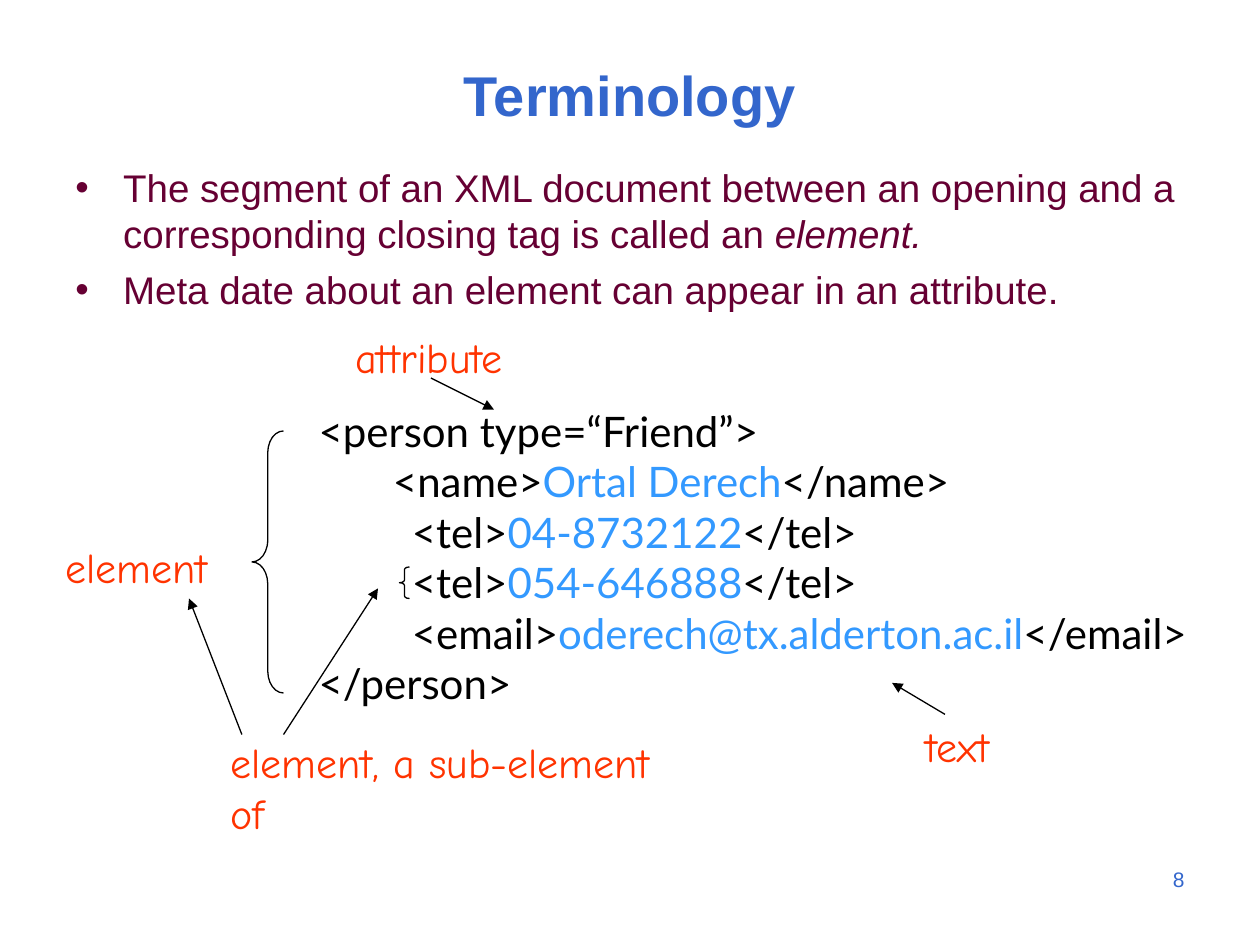
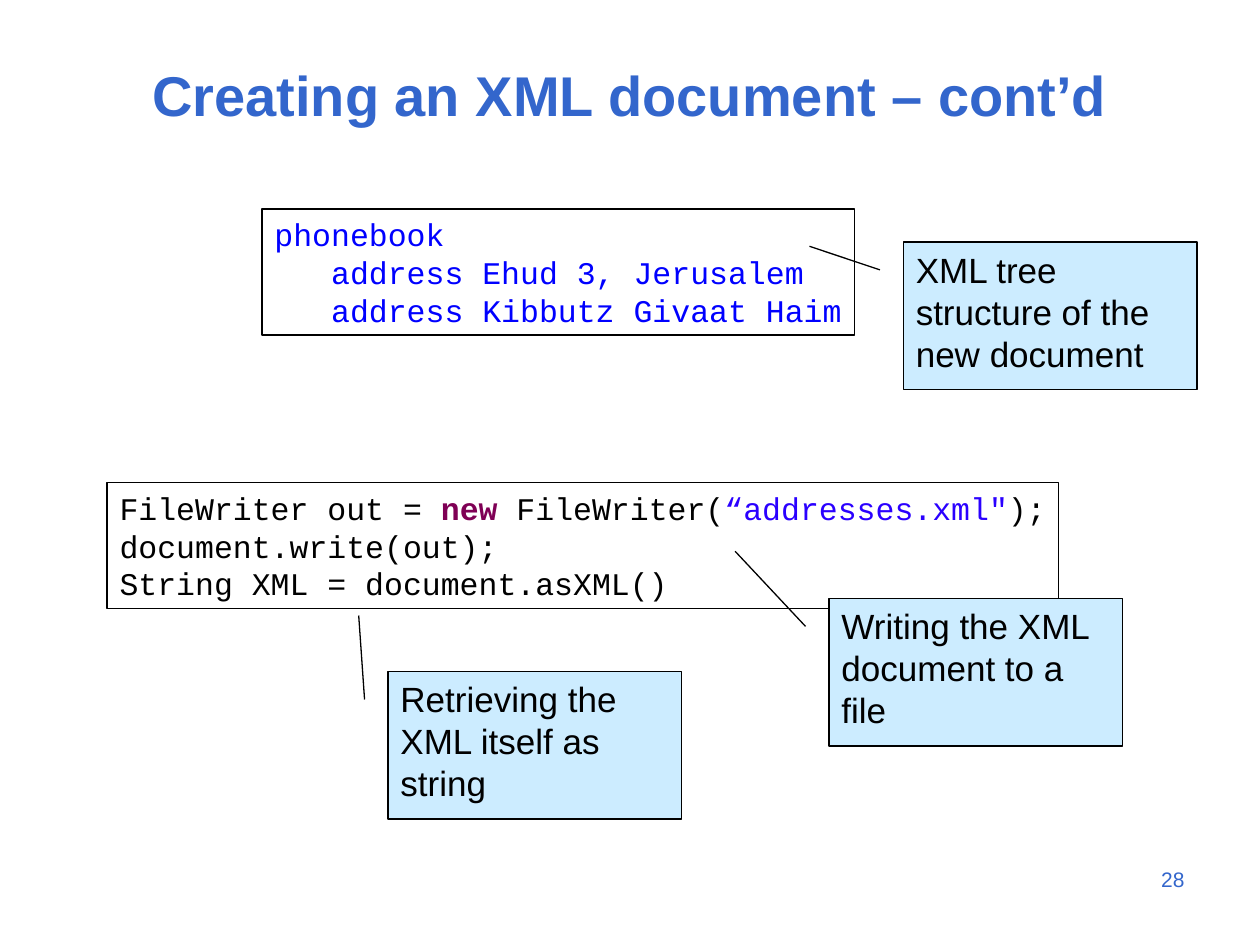
from lxml import etree
from pptx import Presentation
from pptx.dml.color import RGBColor
from pptx.enum.shapes import MSO_CONNECTOR, MSO_SHAPE
from pptx.enum.text import MSO_ANCHOR, PP_ALIGN
from pptx.oxml.ns import qn
from pptx.util import Inches, Pt

LEFT, CENTER, RIGHT = PP_ALIGN.LEFT, PP_ALIGN.CENTER, PP_ALIGN.RIGHT
TOP, MIDDLE = MSO_ANCHOR.TOP, MSO_ANCHOR.MIDDLE
RECTANGLE, BRACE = MSO_SHAPE.RECTANGLE, MSO_SHAPE.LEFT_BRACE
CALLOUT = MSO_SHAPE.LINE_CALLOUT_1
STRAIGHT = MSO_CONNECTOR.STRAIGHT

COLORS = {
    "heading": "3366CC",
    "body": "660033",
    "label": "FF3300",
    "value": "3399FF",
    "ink": "000000",
    "callout": "CCECFF",
    "tree": "0000FF",
    "keyword": "7F0055",
    "string": "2A00FF",
}
LINE_WIDTH = 0.75
LINE_HEIGHT = 1.2
CODE_FONT = "Courier New"
CODE_SIZE = 18


def rgb(name):
    """Return the palette colour called name."""
    return RGBColor.from_string(COLORS[name])


def write(shape, lines, size, font, color, align=LEFT, anchor=TOP, wrap=True, bold=False):
    """Fill a shape with lines, each an indent in inches and a list of (text, style) runs."""
    frame = shape.text_frame
    frame.word_wrap = wrap
    frame.vertical_anchor = anchor
    for index, (indent, runs) in enumerate(lines):
        paragraph = frame.paragraphs[0] if index == 0 else frame.add_paragraph()
        paragraph.alignment = align
        paragraph.line_spacing = Pt(size * LINE_HEIGHT)
        if indent:
            paragraph._p.get_or_add_pPr().set("marL", str(Inches(indent)))
        paragraph.font.size = Pt(size)
        paragraph.font.name = font
        paragraph.font.bold = bold
        paragraph.font.color.rgb = rgb(color)
        for text, style in runs:
            run = paragraph.add_run()
            run.text = text
            if style == "italic":
                run.font.italic = True
            elif style:
                run.font.color.rgb = rgb(style)
                if style == "keyword":
                    run.font.bold = True


def plain(*texts):
    """Return unindented lines of one unstyled run each."""
    return [(0, [(text, None)]) for text in texts]


def add_text(slide, box, lines, size, font, color, **options):
    """Add a text box at box, given as left, top, width and height in inches."""
    shape = slide.shapes.add_textbox(*map(Inches, box))
    write(shape, lines, size, font, color, **options)
    return shape


def add_outlined(slide, kind, box, fill=None):
    """Add a preset shape with a thin black line and an optional fill."""
    shape = slide.shapes.add_shape(kind, *map(Inches, box))
    shape.shadow.inherit = False
    shape.line.color.rgb = rgb("ink")
    shape.line.width = Pt(LINE_WIDTH)
    if fill:
        shape.fill.solid()
        shape.fill.fore_color.rgb = rgb(fill)
    else:
        shape.fill.background()
    return shape


def add_bullets(slide, box, lines):
    """Add the bulleted body text."""
    shape = add_text(slide, box, lines, 22, "Arial", "body")
    for paragraph in shape.text_frame.paragraphs:
        paragraph.space_before = Pt(5.5)
        properties = paragraph._p.get_or_add_pPr()
        properties.set("marL", str(Inches(0.38)))
        properties.set("indent", str(Inches(-0.38)))
        bullet_color = etree.Element(qn("a:buClr"))
        etree.SubElement(bullet_color, qn("a:srgbClr"), val=COLORS["body"])
        bullet_font = etree.Element(qn("a:buFont"), typeface="Arial")
        bullet = etree.Element(qn("a:buChar"), char="•")
        defaults = properties.find(qn("a:defRPr"))
        for element in (bullet_color, bullet_font, bullet):
            defaults.addprevious(element)


def add_brace(slide, box):
    """Add a left brace whose curls take a twelfth of its height."""
    brace = add_outlined(slide, BRACE, box)
    brace.adjustments[0] = box[3] / box[2] / 12


def add_arrow(slide, start, end):
    """Add a thin arrow from start to end."""
    arrow = slide.shapes.add_connector(STRAIGHT, *map(Inches, start + end))
    arrow.line.color.rgb = rgb("ink")
    arrow.line.width = Pt(LINE_WIDTH)
    etree.SubElement(arrow.line._get_or_add_ln(), qn("a:tailEnd"), type="triangle")
    etree.SubElement(arrow._element.spPr, qn("a:effectLst"))


def add_label(slide, box, *texts):
    """Add a handwritten label."""
    add_text(slide, box, plain(*texts), 24, "Comic Neue", "label")


def add_code(slide, box, lines, color):
    """Add a framed block of code."""
    frame = add_outlined(slide, RECTANGLE, box)
    write(frame, lines, CODE_SIZE, CODE_FONT, color, wrap=False)


def add_callout(slide, left, top, text, tip_y, tip_x):
    """Add a callout whose line ends at the given fractions of its box."""
    callout = add_outlined(slide, CALLOUT, (left, top, 2.33, 1.17), "callout")
    for index, value in enumerate((0.19, -0.08, tip_y, tip_x)):
        callout.adjustments[index] = value
    write(callout, plain(text), 20, "Arial", "ink")


def add_base(presentation, title, number):
    """Add a blank slide with its number and title."""
    slide = presentation.slides.add_slide(presentation.slide_layouts[6])
    add_text(slide, (7.5, 6.83, 2, 0.5), plain(str(number)), 12, "Arial", "heading", align=RIGHT)
    add_text(slide, (0.5, 0.33, 9, 0.83), plain(title), 32, "Arial", "heading",
             align=CENTER, anchor=MIDDLE, bold=True)
    return slide


def tagged(tag, value):
    """Return the runs of an XML element with a highlighted value."""
    return [(f"<{tag}>", None), (value, "value"), (f"</{tag}>", None)]


def build_terminology(presentation):
    """Build the slide that names the parts of an XML document."""
    slide = add_base(presentation, "Terminology", 8)
    add_bullets(slide, (0.5, 1.25, 9, 1.42), [
        (0, [("The segment of an XML document between an opening and a "
              "corresponding closing tag is called an ", None), ("element.", "italic")]),
        (0, [("Meta date about an element can appear in an attribute.", None)]),
    ])
    add_text(slide, (2.17, 3.17, 7.83, 2.9), [
        (0.26, [("<person type=“Friend”>", None)]),
        (0.85, tagged("name", "Ortal Derech")),
        (1, tagged("tel", "04-8732122")),
        (1, tagged("tel", "054-646888")),
        (1, tagged("email", "oderech@tx.alderton.ac.il")),
        (0.26, [("</person>", None)]),
    ], 24, "Lato", "ink")
    add_brace(slide, (2, 3.42, 0.25, 2.08))
    add_brace(slide, (3.17, 4.5, 0.08, 0.25))

    add_label(slide, (0.42, 4.25, 1.5, 0.5), "element")
    add_label(slide, (1.73, 5.8, 3.93, 0.9), "element, a sub-element", "of")
    add_label(slide, (2.72, 2.58, 1.5, 0.5), "attribute")
    add_label(slide, (7.25, 5.67, 1.5, 0.5), "text")

    add_arrow(slide, (2.25, 5.83), (3, 4.67))
    add_arrow(slide, (1.92, 5.83), (1.5, 4.75))
    add_arrow(slide, (3.42, 3), (3.92, 3.25))
    add_arrow(slide, (7.5, 5.67), (7.08, 5.42))


def build_creating(presentation):
    """Build the slide that shows how a document is written out."""
    slide = add_base(presentation, "Creating an XML document – cont’d", 28)
    add_code(slide, (2.08, 1.66, 4.7, 1), [
        (0, [("phonebook", None)]),
        (0.45, [("address Ehud 3, Jerusalem", None)]),
        (0.45, [("address Kibbutz Givaat Haim", None)]),
    ], "tree")
    add_callout(slide, 7.17, 1.92, "XML tree structure of the new document", 0.03, -0.32)
    add_code(slide, (0.85, 3.83, 7.55, 1), [
        (0, [("FileWriter out = ", None), ("new", "keyword"), (" FileWriter(", None),
             ("“addresses.xml\"", "string"), (");", None)]),
        *plain("document.write(out);", "String XML = document.asXML()"),
    ], "ink")
    add_callout(slide, 6.58, 4.75, "Writing the XML document to a file", -0.32, -0.32)
    add_callout(slide, 3.08, 5.33, "Retrieving the XML itself as string", -0.38, -0.1)


def main():
    """Build and save the presentation."""
    presentation = Presentation()
    presentation.slide_width = Inches(10)
    presentation.slide_height = Inches(7.5)
    build_terminology(presentation)
    build_creating(presentation)
    presentation.save("out.pptx")


if __name__ == "__main__":
    main()
